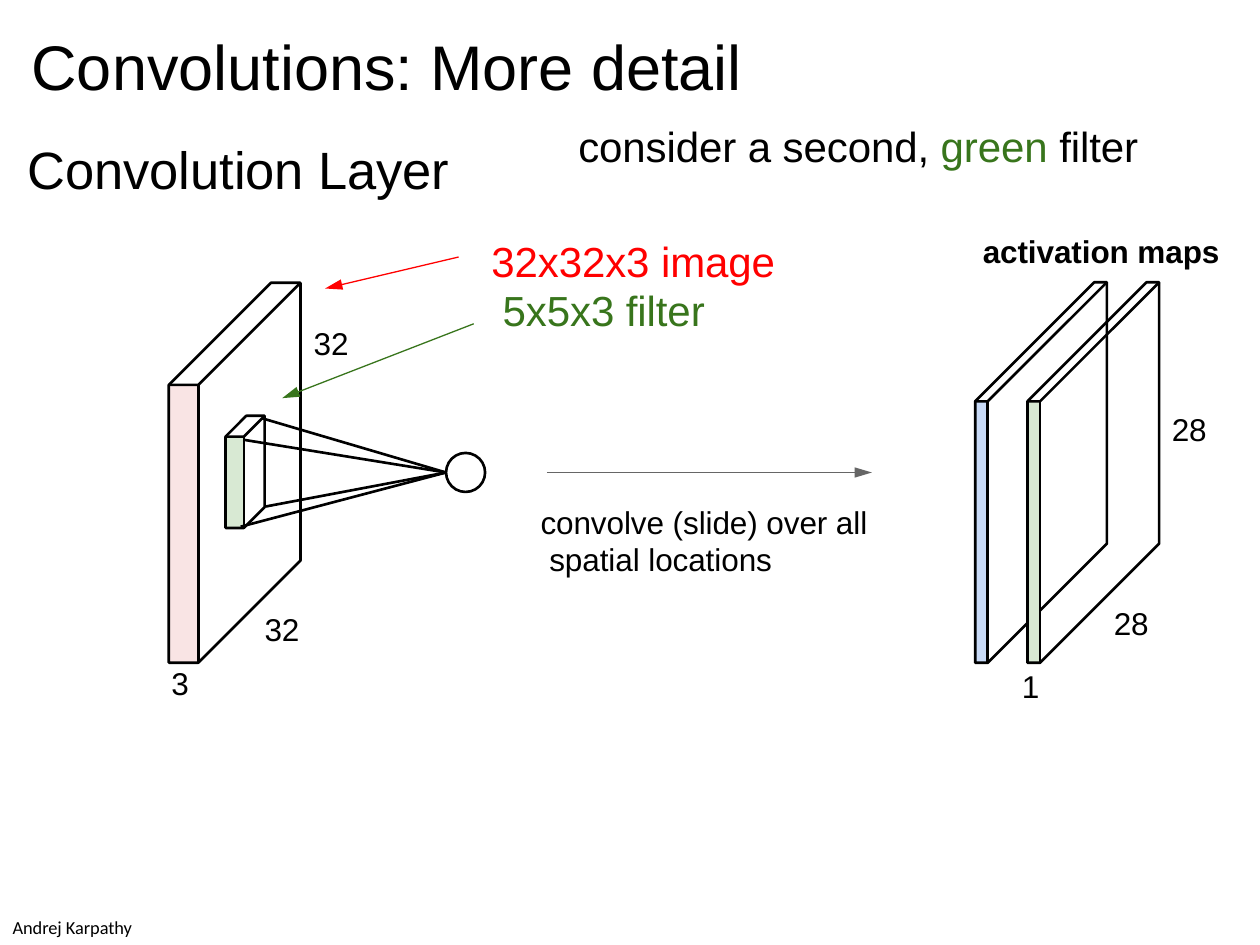
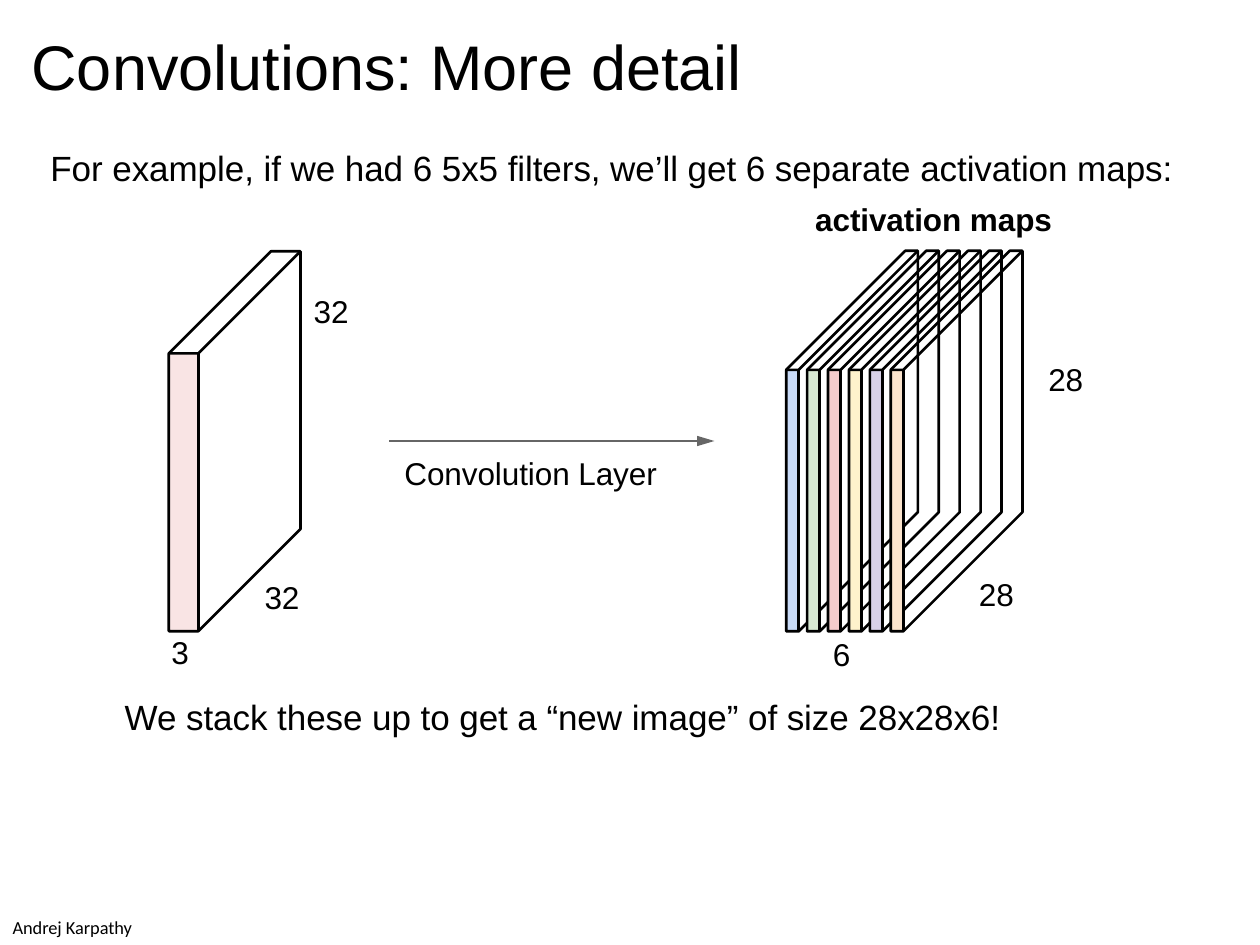
from dataclasses import dataclass
from typing import Optional

from lxml.etree import SubElement
from pptx import Presentation
from pptx.dml.color import RGBColor
from pptx.enum.shapes import MSO_CONNECTOR as Connector, MSO_SHAPE as Preset
from pptx.enum.text import MSO_ANCHOR as Anchor, MSO_AUTO_SIZE as AutoSize, PP_ALIGN as Align
from pptx.oxml.ns import qn
from pptx.util import Emu, Inches, Pt

WIDTH, HEIGHT = Inches(10), Inches(7.5)
COLUMN, ROW = WIDTH / 100, HEIGHT / 75
TITLE_ONLY = 5

BLACK, GREY, RED, GREEN = "000000", "666666", "FF0000", "38751C"
BLUE_FACE, GREEN_FACE, PINK_FACE = "C8DAF7", "D8E9D3", "F4CCCC"
YELLOW_FACE, PURPLE_FACE, ORANGE_FACE = "FFF2CC", "D8D1E8", "FBE4CD"

Point = tuple[float, float]


@dataclass(frozen=True)
class Run:
    text: str
    color: str = BLACK


@dataclass(frozen=True)
class Plate:
    thickness: float
    face: float
    rise: float


@dataclass(frozen=True)
class Label:
    text: str
    left: float
    top: float
    width: float = 4
    bold: bool = False


IMAGE = Plate(thickness=2.35, face=22.05, rise=8.1)
ACTIVATION_MAP = Plate(thickness=1, face=20.75, rise=9.45)
FILTER = Plate(thickness=1.45, face=7.25, rise=1.65)


def col(value: float) -> Emu:
    return Emu(round(value * COLUMN))


def row(value: float) -> Emu:
    return Emu(round(value * ROW))


def rgb(value: str) -> RGBColor:
    return RGBColor.from_string(value)


def write(frame, *lines: list[Run], size: float = 18, font: str = "Arial",
          bold: bool = False, leading: Optional[float] = None,
          indents: tuple[float, ...] = (), tracking: int = -5, wrap: bool = True) -> None:
    frame.auto_size = AutoSize.NONE
    frame.word_wrap = wrap
    frame.vertical_anchor = Anchor.TOP
    frame.margin_left = frame.margin_right = frame.margin_top = frame.margin_bottom = 0
    for index, line in enumerate(lines):
        paragraph = frame.paragraphs[0] if index == 0 else frame.add_paragraph()
        paragraph.alignment = Align.LEFT
        if leading:
            paragraph.line_spacing = Pt(leading)
        if indents:
            paragraph._p.get_or_add_pPr().set("marL", str(col(indents[index])))
        for part in line:
            run = paragraph.add_run()
            run.text = part.text
            run.font.size, run.font.name, run.font.bold = Pt(size), font, bold
            run.font.color.rgb = rgb(part.color)
            run._r.get_or_add_rPr().set("spc", str(tracking))


def add_text(slide, left: float, top: float, width: float, height: float,
             *lines: list[Run], **style) -> None:
    box = slide.shapes.add_textbox(col(left), row(top), col(width), row(height))
    write(box.text_frame, *lines, **style)


def add_label(slide, label: Label) -> None:
    add_text(slide, label.left, label.top, label.width, 3.1, [Run(label.text)], bold=label.bold)


def add_outline(slide, *strokes: list[Point], closed: bool = False,
                fill: Optional[str] = None, line: Optional[str] = BLACK):
    def place(point: Point) -> tuple[Emu, Emu]:
        return col(point[0]), row(point[1])

    builder = slide.shapes.build_freeform(*place(strokes[0][0]), scale=1.0)
    for index, stroke in enumerate(strokes):
        if index:
            builder.move_to(*place(stroke[0]))
        builder.add_line_segments([place(point) for point in stroke[1:]], close=closed)
    outline = builder.convert_to_shape()
    finish(outline, fill, line)
    return outline


def finish(shape, fill: Optional[str], line: Optional[str]) -> None:
    shape.shadow.inherit = False
    if fill:
        shape.fill.solid()
        shape.fill.fore_color.rgb = rgb(fill)
    else:
        shape.fill.background()
    if line:
        shape.line.color.rgb = rgb(line)
        shape.line.width = Pt(1.5)
    else:
        shape.line.fill.background()


def add_plate(slide, plate: Plate, left: float, floor: float, fill: str,
              opacity: int = 100) -> None:
    right, front_top = left + plate.thickness, floor - plate.face
    back_left, back_right = left + plate.rise, right + plate.rise
    back_top, back_floor = front_top - plate.rise, floor - plate.rise
    front = add_outline(slide, [(left, front_top), (right, front_top), (right, floor),
                                (left, floor)], closed=True, fill=fill, line=None)
    if opacity < 100:
        tint = front.fill._xPr.find(qn("a:solidFill"))[0]
        SubElement(tint, qn("a:alpha")).set("val", str(opacity * 1000))
    add_outline(slide, [(left, front_top), (back_left, back_top), (back_right, back_top),
                        (back_right, back_floor), (right, floor), (left, floor)], closed=True)
    add_outline(slide, [(left, front_top), (right, front_top), (back_right, back_top)],
                [(right, front_top), (right, floor)])


def add_line(slide, start: Point, end: Point, color: str = BLACK,
             weight: float = 1.5, arrow: bool = False) -> None:
    line = slide.shapes.add_connector(Connector.STRAIGHT, col(start[0]), row(start[1]),
                                      col(end[0]), row(end[1]))
    line.line.color.rgb = rgb(color)
    line.line.width = Pt(weight)
    if arrow:
        head = SubElement(line.line._get_or_add_ln(), qn("a:tailEnd"))
        for key, value in (("type", "triangle"), ("w", "med"), ("len", "lg")):
            head.set(key, value)
    SubElement(line._element.spPr, qn("a:effectLst"))


def add_arrow(slide, start: Point, end: Point, color: str) -> None:
    add_line(slide, start, end, color, weight=0.75, arrow=True)


def add_input_image(slide, floor: float) -> None:
    add_plate(slide, IMAGE, 13.4, floor, PINK_FACE, opacity=52)
    for label in (Label("32", 24.9, floor - 26.9), Label("32", 21, floor - 4.2),
                  Label("3", 13.6, floor + 0.1)):
        add_label(slide, label)


def add_activation_maps(slide, left: float, floor: float, step: float,
                        faces: list[str], labels: list[Label]) -> None:
    for index, face in enumerate(faces):
        add_plate(slide, ACTIVATION_MAP, left + index * step, floor, face)
    for label in labels:
        add_label(slide, label)


def start_slide(deck):
    slide = deck.slides.add_slide(deck.slide_layouts[TITLE_ONLY])
    heading = slide.shapes.title
    heading.left, heading.top, heading.width, heading.height = (
        col(2.5), row(2.2), col(95.1), row(6.1))
    write(heading.text_frame, [Run("Convolutions: More detail")], size=36, tracking=0)
    add_text(slide, 1, 72.7, 10, 1.8, [Run("Andrej Karpathy")],
             size=10.5, font="Calibri", tracking=0, wrap=False)
    return slide


def build_second_filter(deck) -> None:
    slide = start_slide(deck)
    floor, axis = 52.6, 37.5
    neuron = (35.4, axis)
    add_text(slide, 2.2, 10.9, 36, 5.1, [Run("Convolution Layer")], size=30)
    add_text(slide, 45.9, 9.6, 47, 4.1,
             [Run("consider a second, "), Run("green ", GREEN), Run("filter")], size=24)
    add_text(slide, 39, 18.7, 26, 8.1, [Run("32x32x3 image", RED)],
             [Run("5x5x3 filter", GREEN)], size=24, leading=28.5, indents=(0, 0.9))
    add_text(slide, 42.9, 40, 32, 6.2, [Run("convolve (slide) over all")],
             [Run("spatial locations")], leading=21, indents=(0, 0.7))
    add_input_image(slide, floor)
    add_plate(slide, FILTER, 17.9, 41.9, GREEN_FACE)
    for corner in ((19.1, 41.8), (19.3, 34.9), (20.8, 33.2), (21.1, 40.2)):
        add_line(slide, corner, neuron)
    circle = slide.shapes.add_shape(Preset.OVAL, col(35.4), row(axis - 1.55), col(3.1), row(3.1))
    finish(circle, None, BLACK)
    add_arrow(slide, (36.4, 20.4), (25.8, 22.9), RED)
    add_arrow(slide, (37.6, 25.7), (22.4, 31.6), GREEN)
    add_arrow(slide, (43.4, axis), (69.2, axis), GREY)
    add_activation_maps(slide, 77.4, floor, 4.15, [BLUE_FACE, GREEN_FACE], [
        Label("activation maps", 78, 18.4, 21, bold=True),
        Label("28", 93, 32.5), Label("28", 88.4, 47.9), Label("1", 81.1, 52.9)])


def build_stacked_maps(deck) -> None:
    slide = start_slide(deck)
    floor = 50.1
    add_text(slide, 4, 11.6, 94, 3.4, [Run(
        "For example, if we had 6 5x5 filters, we’ll get 6 separate activation maps:")], size=20)
    add_input_image(slide, floor)
    add_arrow(slide, (30.9, 35), (56.7, 35), GREY)
    add_label(slide, Label("Convolution Layer", 32.1, 36, 24))
    faces = [BLUE_FACE, GREEN_FACE, PINK_FACE, YELLOW_FACE, PURPLE_FACE, ORANGE_FACE]
    add_activation_maps(slide, 62.4, floor, 1.66, faces, [
        Label("activation maps", 64.7, 15.9, 21, bold=True),
        Label("28", 83.2, 28.6), Label("28", 77.7, 45.6), Label("6", 66.1, 50.4)])
    add_text(slide, 9.9, 55.2, 74, 3.4,
             [Run("We stack these up to get a “new image” of size 28x28x6!")], size=20)


def main() -> None:
    deck = Presentation()
    deck.slide_width, deck.slide_height = WIDTH, HEIGHT
    build_second_filter(deck)
    build_stacked_maps(deck)
    deck.save("out.pptx")


if __name__ == "__main__":
    main()
